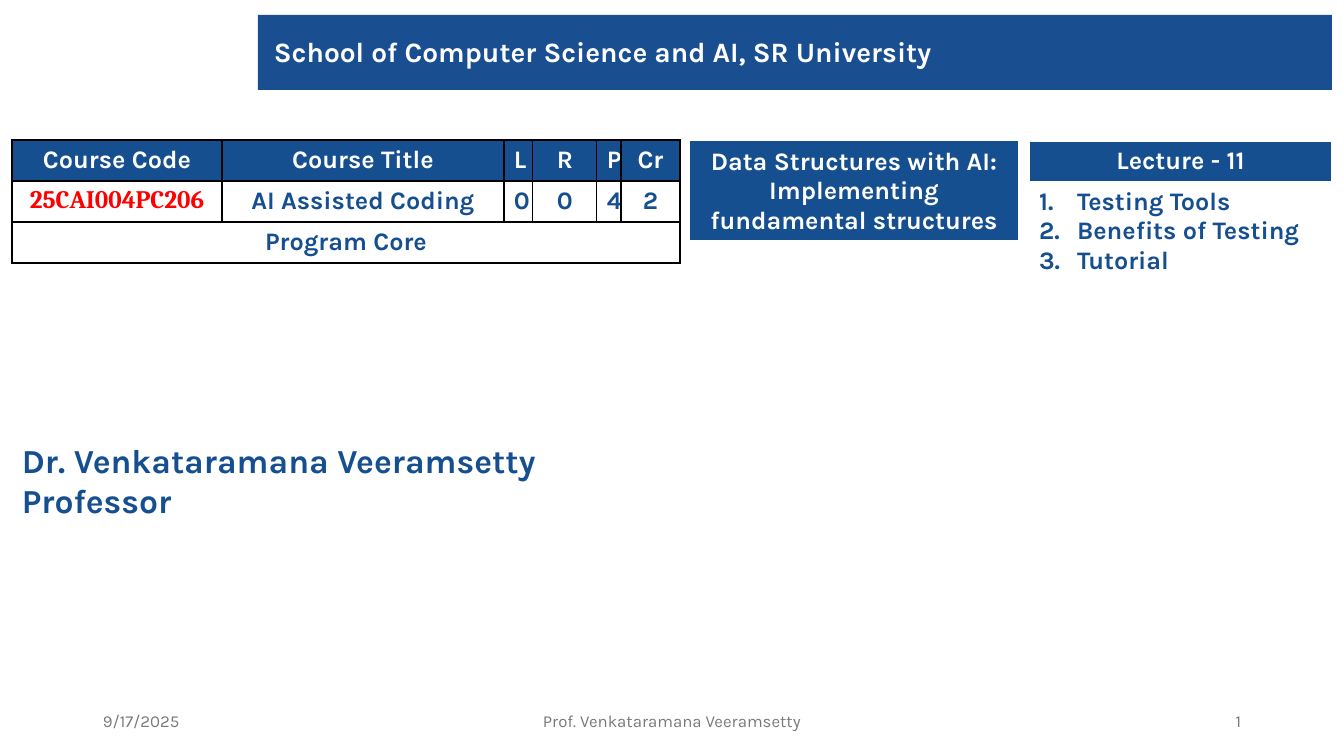
from lxml import etree
from pptx import Presentation
from pptx.dml.color import RGBColor
from pptx.enum.shapes import MSO_SHAPE
from pptx.enum.text import MSO_ANCHOR, PP_ALIGN
from pptx.oxml.ns import qn
from pptx.util import Emu, Pt

EMU_PER_PX = 914400 / 100.8
RECTANGLE = MSO_SHAPE.RECTANGLE
TOP, MIDDLE, BOTTOM = MSO_ANCHOR.TOP, MSO_ANCHOR.MIDDLE, MSO_ANCHOR.BOTTOM
LEFT, CENTER, RIGHT = PP_ALIGN.LEFT, PP_ALIGN.CENTER, PP_ALIGN.RIGHT
COLORS = {
    "banner": "194E91",
    "navy": "164F8F",
    "white": "FFFFFF",
    "red": "FF0000",
    "gray": "797979",
    "black": "000000",
}


def px(length):
    """Turn pixels into EMU."""
    return Emu(round(length * EMU_PER_PX))


def rgb(name):
    """Look up a named colour."""
    return RGBColor.from_string(COLORS[name])


def write(text_frame, text, size, color, align=LEFT, bold=True, font="Karla"):
    """Fill a text frame and format all its runs."""
    text_frame.text = text
    for paragraph in text_frame.paragraphs:
        paragraph.alignment = align
        for run in paragraph.runs:
            run.font.name = font
            run.font.size = Pt(size)
            run.font.bold = bold
            run.font.color.rgb = rgb(color)


def add_text(slide, box, text, size, color, align=LEFT, anchor=TOP, bold=True):
    """Add a wrapping text box."""
    shape = slide.shapes.add_textbox(*map(px, box))
    shape.text_frame.word_wrap = True
    shape.text_frame.vertical_anchor = anchor
    write(shape.text_frame, text, size, color, align, bold)


def add_bar(slide, box):
    """Add a plain banner rectangle."""
    shape = slide.shapes.add_shape(RECTANGLE, *map(px, box))
    shape.shadow.inherit = False
    shape.fill.solid()
    shape.fill.fore_color.rgb = rgb("banner")
    shape.line.fill.background()
    return shape


def add_table(slide, left, top, columns, rows):
    """Add a table without banding, sized by its columns and rows."""
    frame = slide.shapes.add_table(
        len(rows), len(columns), px(left), px(top), px(sum(columns)), px(sum(rows))
    )
    table = frame.table
    table.first_row = table.horz_banding = False
    for column, width in zip(table.columns, columns):
        column.width = px(width)
    for row, height in zip(table.rows, rows):
        row.height = px(height)
    return table


def add_borders(cell):
    """Draw a thin black line on each side of a cell."""
    properties = cell._tc.get_or_add_tcPr()
    for side in ("lnL", "lnR", "lnT", "lnB"):
        line = etree.SubElement(properties, qn(f"a:{side}"), w=str(Pt(1)))
        fill = etree.SubElement(line, qn("a:solidFill"))
        etree.SubElement(fill, qn("a:srgbClr"), val=COLORS["black"])


def fill_cell(cell, color):
    """Give a cell a solid fill."""
    cell.fill.solid()
    cell.fill.fore_color.rgb = rgb(color)


def add_course_table(slide):
    """Add the bordered course table."""
    contents = [
        ["Course Code", "Course Title", "L", "R", "P", "Cr"],
        ["25CAI004PC206", "AI Assisted Coding", "0", "0", "4", "2"],
        ["Program Core", "", "", "", "", ""],
    ]
    table = add_table(slide, 12, 140, [210, 282, 29, 64, 24, 59], [41] * 3)
    for row_index, texts in enumerate(contents):
        fill, color = ("white", "navy") if row_index else ("navy", "white")
        for column_index, text in enumerate(texts):
            cell = table.cell(row_index, column_index)
            add_borders(cell)
            fill_cell(cell, fill)
            write(cell.text_frame, text, 18, color, CENTER)
    code_frame = table.cell(1, 0).text_frame
    write(code_frame, code_frame.text, 18, "red", CENTER, font="Cambria")
    table.cell(2, 0).merge(table.cell(2, 5))


def add_topic_table(slide):
    """Add the single-cell topic table."""
    cell = add_table(slide, 689, 140, [330], [100]).cell(0, 0)
    fill_cell(cell, "navy")
    cell.vertical_anchor = BOTTOM
    topic = "Data Structures with AI: Implementing fundamental structures"
    write(cell.text_frame, topic, 18, "white", CENTER)


def add_lecture_table(slide):
    """Add the lecture heading and its numbered agenda."""
    table = add_table(slide, 1029, 141, [303], [41, 101])
    heading, agenda = table.cell(0, 0), table.cell(1, 0)
    fill_cell(heading, "navy")
    write(heading.text_frame, "Lecture - 11", 18, "white", CENTER)
    agenda.fill.background()
    write(agenda.text_frame, "Testing Tools\nBenefits of Testing\nTutorial", 18, "navy")
    for paragraph in agenda.text_frame.paragraphs:
        properties = paragraph._p.get_or_add_pPr()
        properties.set("marL", str(px(38)))
        properties.set("indent", str(px(-38)))
        etree.SubElement(properties, qn("a:buAutoNum"), type="arabicPeriod")


def main():
    """Build the lecture title slide."""
    presentation = Presentation()
    presentation.slide_width = px(1344)
    presentation.slide_height = px(756)
    slide = presentation.slides.add_slide(presentation.slide_layouts[6])

    add_bar(slide, (258, 15, 1074, 75))
    title = add_bar(slide, (264, 30, 1068, 44)).text_frame
    title.word_wrap = True
    title.vertical_anchor = TOP
    write(title, "School of Computer Science and AI, SR University", 20, "white")

    lecturer = "Dr. Venkataramana Veeramsetty\nProfessor"
    add_text(slide, (12, 435, 609, 92), lecturer, 24, "navy")
    add_course_table(slide)
    add_topic_table(slide)
    add_lecture_table(slide)

    footers = [
        (93, 302, "9/17/2025", LEFT),
        (445, 454, "Prof. Venkataramana Veeramsetty", CENTER),
        (949, 302, "1", RIGHT),
    ]
    for left, width, text, align in footers:
        add_text(slide, (left, 701, width, 40), text, 12, "gray", align, MIDDLE, False)

    presentation.save("out.pptx")


if __name__ == "__main__":
    main()
